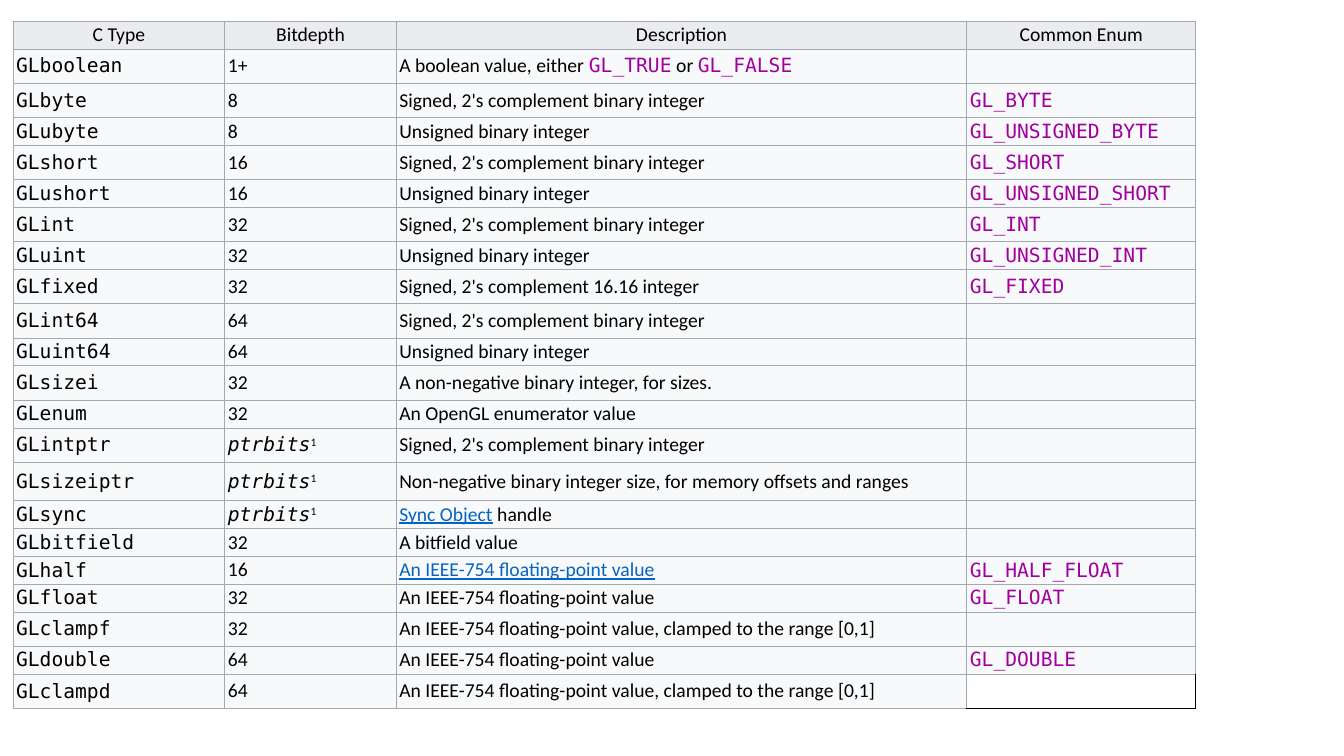
from lxml.etree import SubElement
from pptx import Presentation
from pptx.dml.color import RGBColor
from pptx.enum.text import MSO_ANCHOR as Anchor, PP_ALIGN as Align
from pptx.oxml.ns import qn
from pptx.util import Inches, Pt

SANS, MONO = "Calibri", "DejaVu Sans Mono"
BLACK, PURPLE, BLUE, GRID = "000000", "A000A0", "0563C1", "A2A9B1"
HEADER_FILL, BODY_FILL, BLANK_FILL = "EAECF0", "F8F9FA", "FFFFFF"
TEXT_SIZE = 14

STYLES = {
    "plain": {"name": SANS, "color": BLACK},
    "type": {"name": MONO, "color": BLACK},
    "enum": {"name": MONO, "color": PURPLE},
    "link": {"name": SANS, "color": BLUE, "underline": True},
    "variable": {"name": MONO, "color": BLACK, "italic": True},
    "note": {"name": SANS, "color": BLACK, "superscript": True},
}

LOW, TALL, TALLEST = 0.27, 0.34, 0.38
COLUMN_WIDTHS = [2.1, 1.7, 5.66, 2.27]
HEADINGS = ["C Type", "Bitdepth", "Description", "Common Enum"]
COLUMN_STYLES = ["type", "plain", "plain", "enum"]

SIGNED = "Signed, 2's complement binary integer"
UNSIGNED = "Unsigned binary integer"
FLOATING = "An IEEE-754 floating-point value"
CLAMPED = FLOATING + ", clamped to the range [0,1]"
POINTER_BITS = [("ptrbits", "variable"), ("1", "note")]
BOOLEAN = [("A boolean value, either ", "plain"), ("GL_TRUE", "enum"),
           (" or ", "plain"), ("GL_FALSE", "enum")]
SYNC = [("Sync Object", "link"), (" handle", "plain")]

GL_TYPES = [
    (TALL, "GLboolean", "1+", BOOLEAN, ""),
    (TALL, "GLbyte", "8", SIGNED, "GL_BYTE"),
    (LOW, "GLubyte", "8", UNSIGNED, "GL_UNSIGNED_BYTE"),
    (TALL, "GLshort", "16", SIGNED, "GL_SHORT"),
    (LOW, "GLushort", "16", UNSIGNED, "GL_UNSIGNED_SHORT"),
    (TALL, "GLint", "32", SIGNED, "GL_INT"),
    (LOW, "GLuint", "32", UNSIGNED, "GL_UNSIGNED_INT"),
    (TALL, "GLfixed", "32", "Signed, 2's complement 16.16 integer", "GL_FIXED"),
    (TALL, "GLint64", "64", SIGNED, ""),
    (LOW, "GLuint64", "64", UNSIGNED, ""),
    (TALL, "GLsizei", "32", "A non-negative binary integer, for sizes.", ""),
    (LOW, "GLenum", "32", "An OpenGL enumerator value", ""),
    (TALL, "GLintptr", POINTER_BITS, SIGNED, ""),
    (TALLEST, "GLsizeiptr", POINTER_BITS,
     "Non-negative binary integer size, for memory offsets and ranges", ""),
    (LOW, "GLsync", POINTER_BITS, SYNC, ""),
    (LOW, "GLbitfield", "32", "A bitfield value", ""),
    (LOW, "GLhalf", "16", [(FLOATING, "link")], "GL_HALF_FLOAT"),
    (LOW, "GLfloat", "32", FLOATING, "GL_FLOAT"),
    (TALL, "GLclampf", "32", CLAMPED, ""),
    (LOW, "GLdouble", "64", FLOATING, "GL_DOUBLE"),
    (TALL, "GLclampd", "64", CLAMPED, ""),
]


def rgb(hex_color):
    """Turn a hex string into a colour."""
    return RGBColor.from_string(hex_color)


def style_font(font, name, color, underline=None, italic=None):
    """Give a paragraph or run font its size, face and colour."""
    font.size, font.name = Pt(TEXT_SIZE), name
    font.color.rgb = rgb(color)
    font.underline, font.italic = underline, italic


def write_text(cell, content, column_style, align):
    """Write a string, or a list of (text, style) pieces, into a cell."""
    pieces = [(content, column_style)] if isinstance(content, str) else content
    paragraph = cell.text_frame.paragraphs[0]
    paragraph.alignment = align
    if len(pieces) == 1:
        style_font(paragraph.font, **STYLES[pieces[0][1]])
    if content == "":
        SubElement(paragraph._p, qn("a:endParaRPr"), sz=str(TEXT_SIZE * 100))
        return
    for text, style_name in pieces:
        run = paragraph.add_run()
        run.text = text
        if len(pieces) > 1:
            style = dict(STYLES[style_name])
            superscript = style.pop("superscript", False)
            style_font(run.font, **style)
            if superscript:
                run._r.get_or_add_rPr().set("baseline", "30000")


def draw_borders(cell, sides):
    """Draw cell borders from a {side: (colour, points)} mapping."""
    properties = cell._tc.get_or_add_tcPr()
    for side, (color, points) in sides.items():
        line = SubElement(properties, qn(f"a:ln{side}"), w=str(Pt(points)))
        SubElement(SubElement(line, qn("a:solidFill")), qn("a:srgbClr"), val=color)


def format_cell(cell, fill, sides):
    """Set the margins, anchor, borders and fill of a cell."""
    cell.margin_left = cell.margin_right = Inches(0.03)
    cell.margin_top = cell.margin_bottom = Inches(0.02)
    cell.vertical_anchor = Anchor.MIDDLE
    draw_borders(cell, sides)
    cell.fill.solid()
    cell.fill.fore_color.rgb = rgb(fill)


def add_type_table(slide, left, top):
    """Place the table of OpenGL types with its corner at left, top."""
    rows = [(LOW, *HEADINGS)] + GL_TYPES
    table = slide.shapes.add_table(
        len(rows), len(HEADINGS), Inches(left), Inches(top),
        Inches(sum(COLUMN_WIDTHS)), Inches(sum(row[0] for row in rows))).table
    table.first_row = table.horz_banding = False
    for column, width in zip(table.columns, COLUMN_WIDTHS):
        column.width = Inches(width)
    last_corner = (len(rows) - 1, len(HEADINGS) - 1)
    for row_index, (height, *contents) in enumerate(rows):
        table.rows[row_index].height = Inches(height)
        is_header = row_index == 0
        for column_index, content in enumerate(contents):
            cell = table.cell(row_index, column_index)
            sides = dict.fromkeys("LRTB", (GRID, 0.75))
            fill = HEADER_FILL if is_header else BODY_FILL
            if (row_index, column_index) == last_corner:
                sides.update(R=(BLACK, 1), B=(BLACK, 1))
                fill = BLANK_FILL
            format_cell(cell, fill, sides)
            style = "plain" if is_header else COLUMN_STYLES[column_index]
            write_text(cell, content, style, Align.CENTER if is_header else Align.LEFT)


def main():
    """Build and save the slide."""
    deck = Presentation()
    deck.slide_width, deck.slide_height = Inches(13.33), Inches(7.5)
    slide = deck.slides.add_slide(deck.slide_layouts[6])
    add_type_table(slide, 0.13, 0.21)
    deck.save("out.pptx")


if __name__ == "__main__":
    main()
